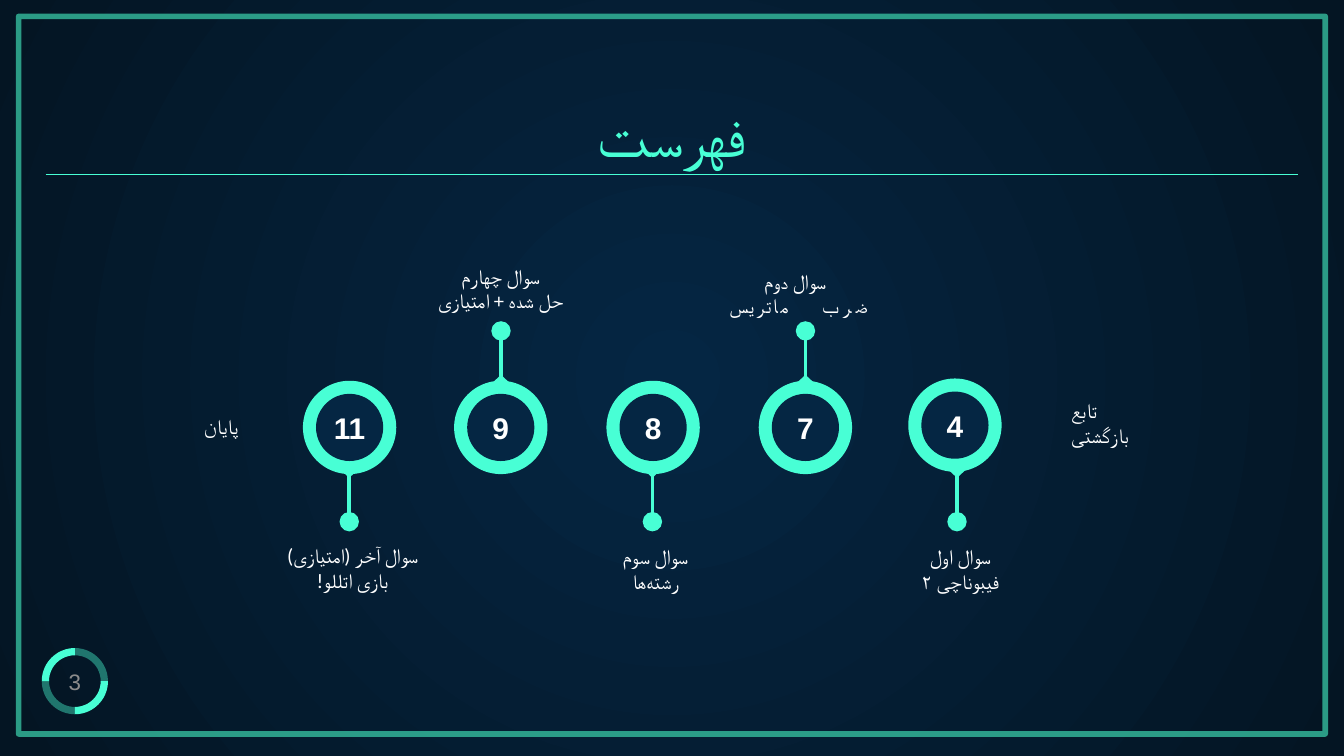
"""Build a dark table-of-contents slide with a five-step timeline."""
from dataclasses import dataclass

from lxml.etree import SubElement
from pptx import Presentation
from pptx.dml.color import RGBColor
from pptx.enum.shapes import MSO_CONNECTOR, MSO_SHAPE
from pptx.enum.text import MSO_ANCHOR as Anchor, PP_ALIGN as Align
from pptx.oxml.ns import qn
from pptx.util import Pt

COLORS = {
    "mint": "48FFD5",
    "frame": "35BD9E",
    "navy": "052643",
    "night": "041523",
    "white": "FFFFFF",
    "gray": "8C8C8C",
}
ZERO_WIDTH_NON_JOINER = chr(8204)
AXIS_Y = 228.4
RING, HOLE, DOT = 50, 36, 10.4
POINTER_W, POINTER_H = 9.4, 4.4
POINTER_OFFSET, DOT_OFFSET = 25.4, 51.1
STEM_START, STEM_END = 23, 47
BADGE_X, BADGE_Y, BADGE_SIZE = 22.4, 347.2, 35.5


@dataclass
class Step:
    number: str
    x: float
    y: float
    stem_x: float
    side: int


@dataclass
class Label:
    text: str
    x: float
    y: float
    w: float
    h: float
    size: float = 11
    font: str = "Calibri"
    color: str = "white"
    align: Align = Align.CENTER
    anchor: Anchor = Anchor.TOP
    rtl: bool = True


STEPS = [
    Step("11", 187.3, 229, 187.1, 1),
    Step("9", 268.3, 229, 268.4, -1),
    Step("8", 349.9, 229, 349.5, 1),
    Step("7", 431.5, 229, 431.5, -1),
    Step("4", 511.6, 227.8, 512.7, 1),
]

LABELS = [
    Label("3", BADGE_X, BADGE_Y, BADGE_SIZE, BADGE_SIZE, 12, "Arial", "gray",
          anchor=Anchor.MIDDLE, rtl=False),
    Label("فهرست", 24.5, 50.4, 671, 47.5, 32, "Roboto", "mint",
          anchor=Anchor.BOTTOM, rtl=False),
    Label("تابع\nبازگشتی", 566.8, 206, 57.6, 33.8, align=Align.LEFT),
    Label("سوال اول\nفیبوناچی ۲", 464.1, 284.4, 100.8, 32.4),
    Label("سوال دوم\nضرب ماتریس 😮", 376.7, 136.8, 98.6, 32.4),
    Label("سوال سوم\nرشته" + ZERO_WIDTH_NON_JOINER + "ها", 285.2, 284.4, 131.8, 32.4),
    Label("سوال چهارم\nحل شده + امتیازی", 202.3, 134, 131.8, 32.4),
    Label("سوال آخر (امتیازی)\nبازی اتللو!", 123, 283.9, 131.8, 32.4),
    Label("پایان", 95.5, 215.4, 46, 23.8),
]


def rgb(name: str) -> RGBColor:
    """Return a palette colour."""
    return RGBColor.from_string(COLORS[name])


def set_alpha(element, percent: int) -> None:
    """Set the opacity of the first colour inside an element."""
    color = next(element.iter(qn("a:srgbClr")))
    SubElement(color, qn("a:alpha")).set("val", str(percent * 1000))


def set_background(s) -> None:
    """Fill the slide with a radial gradient."""
    fill = s.background.fill
    fill.gradient()
    for stop, position, name in zip(fill.gradient_stops, (0, 1), ("navy", "night")):
        stop.position = position
        stop.color.rgb = rgb(name)
    lin = next(s.element.iter(qn("a:lin")))
    grad = lin.getparent()
    grad.remove(lin)
    radial = SubElement(grad, qn("a:path"), path="circle")
    SubElement(radial, qn("a:fillToRect"), l="50000", t="50000", r="50000", b="50000")


def add_filled(s, kind: MSO_SHAPE, cx: float, cy: float, w: float, h: float,
               color: str = "mint"):
    """Add a borderless shape around a centre point."""
    sp = s.shapes.add_shape(kind, Pt(cx - w / 2), Pt(cy - h / 2), Pt(w), Pt(h))
    sp.shadow.inherit = False
    sp.fill.solid()
    sp.fill.fore_color.rgb = rgb(color)
    sp.line.fill.background()
    return sp


def add_line(s, x1: float, y1: float, x2: float, y2: float, width: float) -> None:
    """Add a straight mint line."""
    line = s.shapes.add_connector(MSO_CONNECTOR.STRAIGHT, Pt(x1), Pt(y1), Pt(x2), Pt(y2))
    line.line.color.rgb = rgb("mint")
    line.line.width = Pt(width)
    SubElement(line._element.spPr, qn("a:effectLst"))


def add_frame(s) -> None:
    """Add the outline around the slide."""
    sp = s.shapes.add_shape(MSO_SHAPE.RECTANGLE, Pt(10), Pt(8.8), Pt(700), Pt(384.5))
    sp.shadow.inherit = False
    sp.fill.background()
    sp.line.color.rgb = rgb("frame")
    sp.line.width = Pt(3)
    set_alpha(sp._element.spPr, 80)


def add_badge(s) -> None:
    """Add the page number ring of four quarter arcs."""
    half = BADGE_SIZE / 2
    for start in range(0, 360, 90):
        sp = add_filled(s, MSO_SHAPE.BLOCK_ARC, BADGE_X + half, BADGE_Y + half,
                        BADGE_SIZE, BADGE_SIZE)
        for i, value in enumerate((start * 0.6, (start + 90) % 360 * 0.6, 0.11)):
            sp.adjustments[i] = value
        if start % 180:
            set_alpha(sp._element.spPr, 41)


def add_label(s, label: Label) -> None:
    """Add a text box with one paragraph per line."""
    box = s.shapes.add_textbox(Pt(label.x), Pt(label.y), Pt(label.w), Pt(label.h))
    tf = box.text_frame
    tf.word_wrap = True
    tf.vertical_anchor = label.anchor
    tf.margin_left = tf.margin_right = tf.margin_top = tf.margin_bottom = Pt(7.2)
    tf.text = label.text
    for p in tf.paragraphs:
        p.alignment = label.align
        if label.rtl:
            p._p.get_or_add_pPr().set("rtl", "1")
        for r in p.runs:
            r.font.size = Pt(label.size)
            r.font.name = label.font
            r.font.color.rgb = rgb(label.color)
            SubElement(r._r.get_or_add_rPr(), qn("a:cs"), typeface=label.font)


def add_step(s, step: Step) -> None:
    """Add a numbered ring with its pointer, stem and dot."""
    x, side = step.stem_x, step.side
    add_line(s, x, AXIS_Y + side * STEM_START, x, AXIS_Y + side * STEM_END, 1.95)
    add_filled(s, MSO_SHAPE.OVAL, x, AXIS_Y + side * DOT_OFFSET, DOT, DOT)
    pointer = add_filled(s, MSO_SHAPE.ISOSCELES_TRIANGLE, x,
                         AXIS_Y + side * POINTER_OFFSET, POINTER_W, POINTER_H)
    pointer.rotation = 180 if side > 0 else 0
    add_filled(s, MSO_SHAPE.OVAL, step.x, step.y, RING, RING)
    hole = add_filled(s, MSO_SHAPE.OVAL, step.x, step.y, HOLE, HOLE, "navy")
    tf = hole.text_frame
    tf.word_wrap = False
    tf.vertical_anchor = Anchor.MIDDLE
    tf.margin_left = tf.margin_right = tf.margin_top = tf.margin_bottom = 0
    tf.text = step.number
    p = tf.paragraphs[0]
    p.alignment = Align.CENTER
    font = p.runs[0].font
    font.name, font.size, font.bold = "Arial", Pt(16), True
    font.color.rgb = rgb("white")


def main() -> None:
    """Build and save the slide."""
    prs = Presentation()
    prs.slide_width, prs.slide_height = Pt(720), Pt(405)
    s = prs.slides.add_slide(prs.slide_layouts[6])
    set_background(s)
    add_badge(s)
    add_frame(s)
    add_line(s, 24.5, 93.6, 695.5, 93.6, 0.75)
    for step in STEPS:
        add_step(s, step)
    for label in LABELS:
        add_label(s, label)
    prs.save("out.pptx")


if __name__ == "__main__":
    main()
